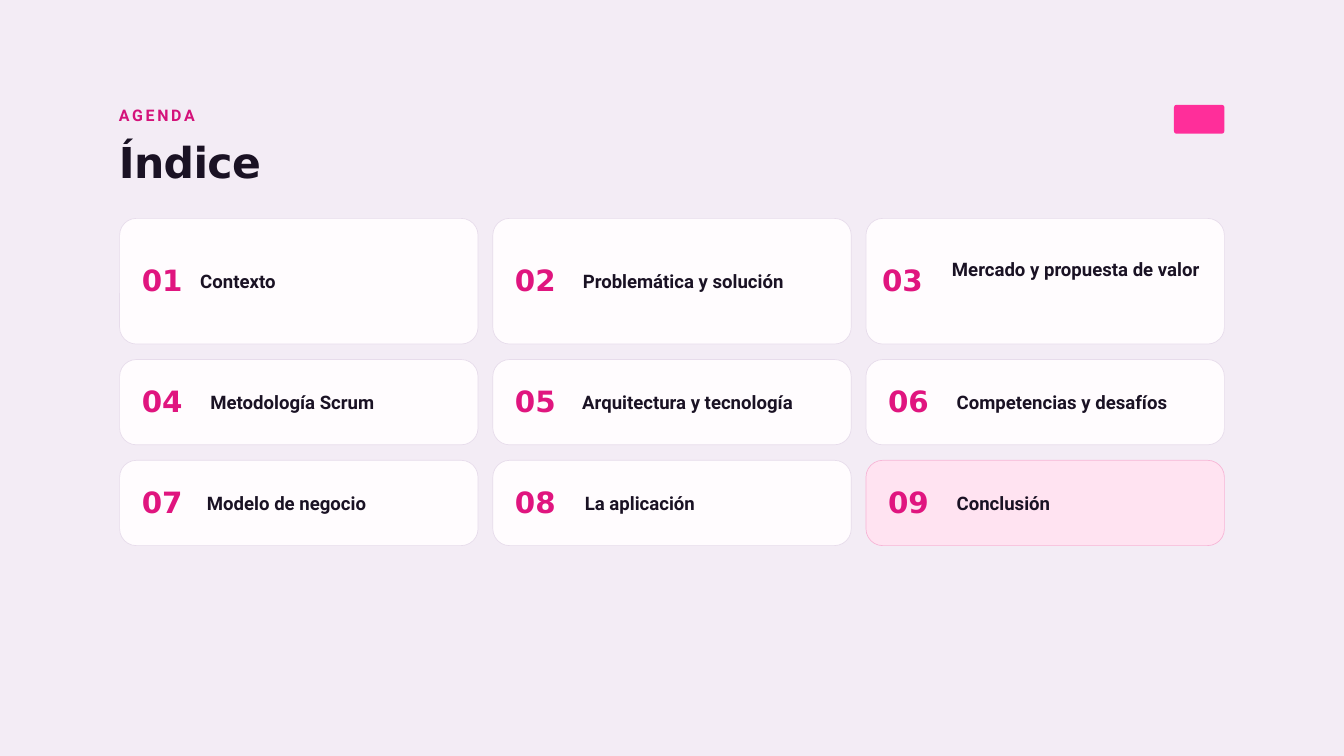
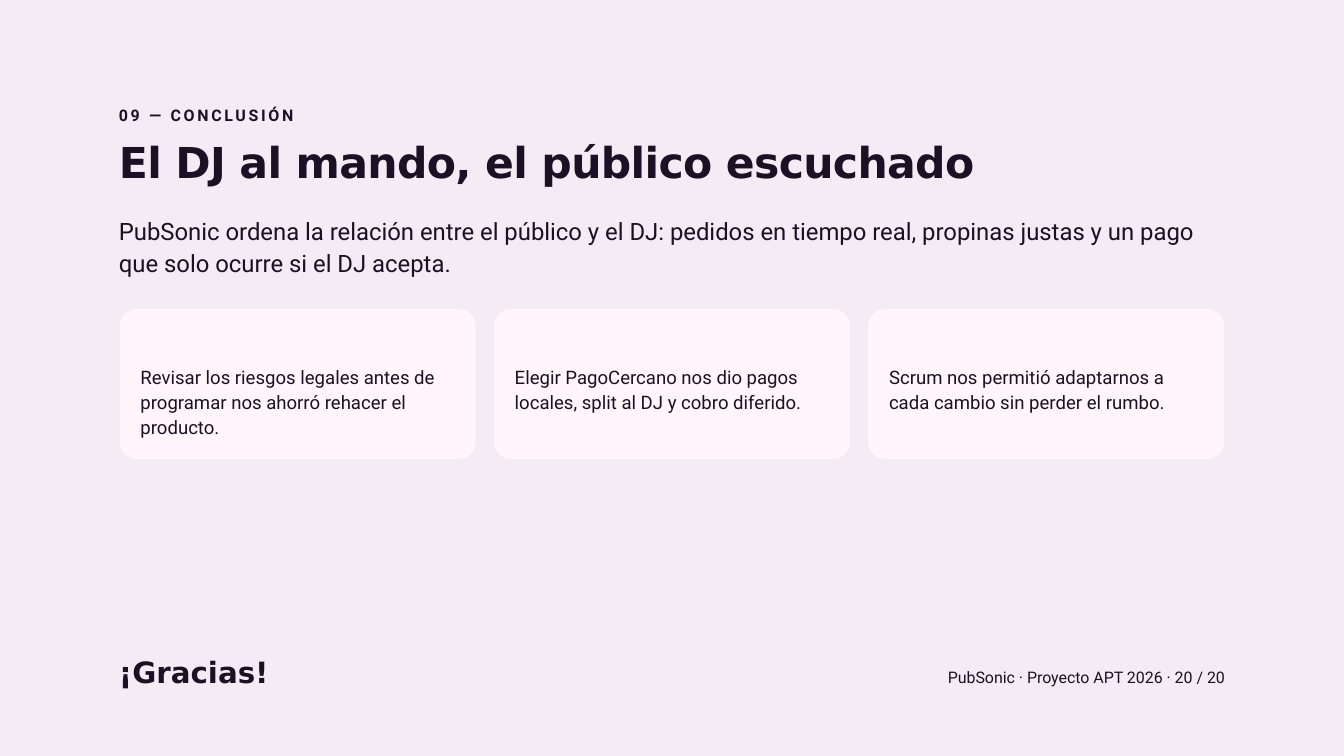
import dataclasses

import pptx
import pptx.dml.color
import pptx.enum.shapes
import pptx.enum.text
import pptx.util

Inches = pptx.util.Inches
Pt = pptx.util.Pt
ALIGN = pptx.enum.text.PP_ALIGN


@dataclasses.dataclass(frozen=True)
class Style:
    """Type size, line height, font, weight and tracking in points."""
    size: float
    lead: float
    font: str = "Roboto"
    bold: bool = False
    track: float = 0


class Theme:
    # Colours
    back = "F3ECF5"
    ink = "1A1224"
    rose = "D4127A"
    pink = "E0157F"
    neon = "FF2E9A"
    card = "FFFCFE"
    edge = "E7DCEB"
    glow = "FFE3F1"
    rim = "F7B5D6"
    blush = "FFF5FA"
    # Type
    kicker = Style(17.1, 23.9, bold=True, track=2.9)
    title = Style(45.6, 52.4, "DejaVu Sans", True, -0.7)
    number = Style(31.4, 43.9, "DejaVu Sans", True)
    label = Style(19.9, 24.9, bold=True)
    lead = Style(25.6, 34.6)
    body = Style(19.9, 26.9)
    foot = Style(17.1, 23.9)
    # Layout
    left = 1.78
    width = 16.44
    text_left = 1.77
    text_width = 16.47
    radius = 0.25


def color(code):
    return pptx.dml.color.RGBColor.from_string(code)


def add_text(slide, text, box, style, tint=Theme.ink, align=ALIGN.LEFT):
    shape = slide.shapes.add_textbox(*map(Inches, box))
    frame = shape.text_frame
    frame.margin_left = frame.margin_right = 0
    frame.margin_top = frame.margin_bottom = 0
    frame.word_wrap = True
    frame.auto_size = pptx.enum.text.MSO_AUTO_SIZE.SHAPE_TO_FIT_TEXT
    para = frame.paragraphs[0]
    para.text = text
    para.alignment = align
    para.line_spacing = Pt(style.lead)
    para.font.name = style.font
    para.font.size = Pt(style.size)
    para.font.bold = style.bold
    para.font.color.rgb = color(tint)
    if style.track:
        props = para.runs[0]._r.get_or_add_rPr()
        props.set("spc", str(round(style.track * 100)))


def add_card(slide, box, fill, edge=None, radius=Theme.radius):
    kind = pptx.enum.shapes.MSO_SHAPE.ROUNDED_RECTANGLE
    card = slide.shapes.add_shape(kind, *map(Inches, box))
    card.adjustments[0] = radius / min(box[2:])
    card.shadow.inherit = False
    card.fill.solid()
    card.fill.fore_color.rgb = color(fill)
    if edge:
        card.line.color.rgb = color(edge)
        card.line.width = Pt(0.75)
    else:
        card.line.fill.background()


def split(count, gap):
    """Return the left edges and the width of equal columns."""
    width = (Theme.width - gap * (count - 1)) / count
    return [Theme.left + i * (width + gap) for i in range(count)], width


def add_slide(deck, kicker, title, tint=Theme.ink):
    slide = deck.slides.add_slide(deck.slide_layouts[6])
    slide.background.fill.solid()
    slide.background.fill.fore_color.rgb = color(Theme.back)
    left, width = Theme.text_left, Theme.text_width
    add_text(slide, kicker, (left, 1.52, width, 0.37), Theme.kicker, tint)
    add_text(slide, title, (left, 2.06, width, 0.71), Theme.title)
    return slide


def add_topic(slide, box, number, label, indent, last):
    left, top, width, height = box
    fill, edge = (Theme.glow, Theme.rim) if last else (Theme.card, Theme.edge)
    add_card(slide, box, fill, edge)
    middle = top + height / 2
    # The longest label sits higher, with its number further left
    long = len(label) > 25
    inset, rise = (0.24, 0.36) if long else (0.33, 0.18)
    add_text(slide, f"{number:02}", (left + inset, middle - 0.37, 0.8, 0.68),
             Theme.number, Theme.pink)
    add_text(slide, label,
             (left + indent, middle - rise, width - indent - 0.33, 0.36),
             Theme.label)


def add_agenda(deck):
    slide = add_slide(deck, "AGENDA", "Índice", Theme.rose)
    # Topics: label and its indent within the card
    topics = [
        ("Contexto", 1.2), ("Problemática y solución", 1.34),
        ("Mercado y propuesta de valor", 1.28),
        ("Metodología Scrum", 1.35), ("Arquitectura y tecnología", 1.33),
        ("Competencias y desafíos", 1.35),
        ("Modelo de negocio", 1.3), ("La aplicación", 1.37),
        ("Conclusión", 1.35),
    ]
    rows = [(3.25, 1.87), (5.35, 1.27), (6.85, 1.27)]
    lefts, width = split(3, 0.22)
    for i, (label, indent) in enumerate(topics):
        top, height = rows[i // 3]
        box = (lefts[i % 3], top, width, height)
        add_topic(slide, box, i + 1, label, indent, i == len(topics) - 1)
    # Corner mark
    add_card(slide, (17.47, 1.56, 0.75, 0.43), Theme.neon, radius=0.04)


def add_close(deck):
    slide = add_slide(deck, "09 — CONCLUSIÓN",
                      "El DJ al mando, el público escuchado")
    add_text(slide, "PubSonic ordena la relación entre el público y el DJ: "
             "pedidos en tiempo real, propinas justas y un pago que solo "
             "ocurre si el DJ acepta.",
             (Theme.text_left, 3.17, Theme.text_width, 1), Theme.lead)
    # Lessons
    lessons = [
        "Revisar los riesgos legales antes de programar nos ahorró rehacer "
        "el producto.",
        "Elegir PagoCercano nos dio pagos locales, split al DJ y cobro "
        "diferido.",
        "Scrum nos permitió adaptarnos a cada cambio sin perder el rumbo.",
    ]
    lefts, width = split(len(lessons), 0.27)
    for left, lesson in zip(lefts, lessons):
        add_card(slide, (left, 4.6, width, 2.23), Theme.blush)
        add_text(slide, lesson, (left + 0.31, 5.4, 4.67, 1.15), Theme.body)
    # Footer
    add_text(slide, "¡Gracias!", (Theme.text_left, 9.65, 8.91, 0.68),
             Theme.number)
    add_text(slide, "PubSonic · Proyecto APT 2026 · 20 / 20",
             (12.29, 9.88, 5.94, 0.37), Theme.foot, align=ALIGN.RIGHT)


def main():
    deck = pptx.Presentation()
    deck.slide_width = Inches(20)
    deck.slide_height = Inches(11.25)
    add_agenda(deck)
    add_close(deck)
    deck.save("out.pptx")


if __name__ == "__main__":
    main()
